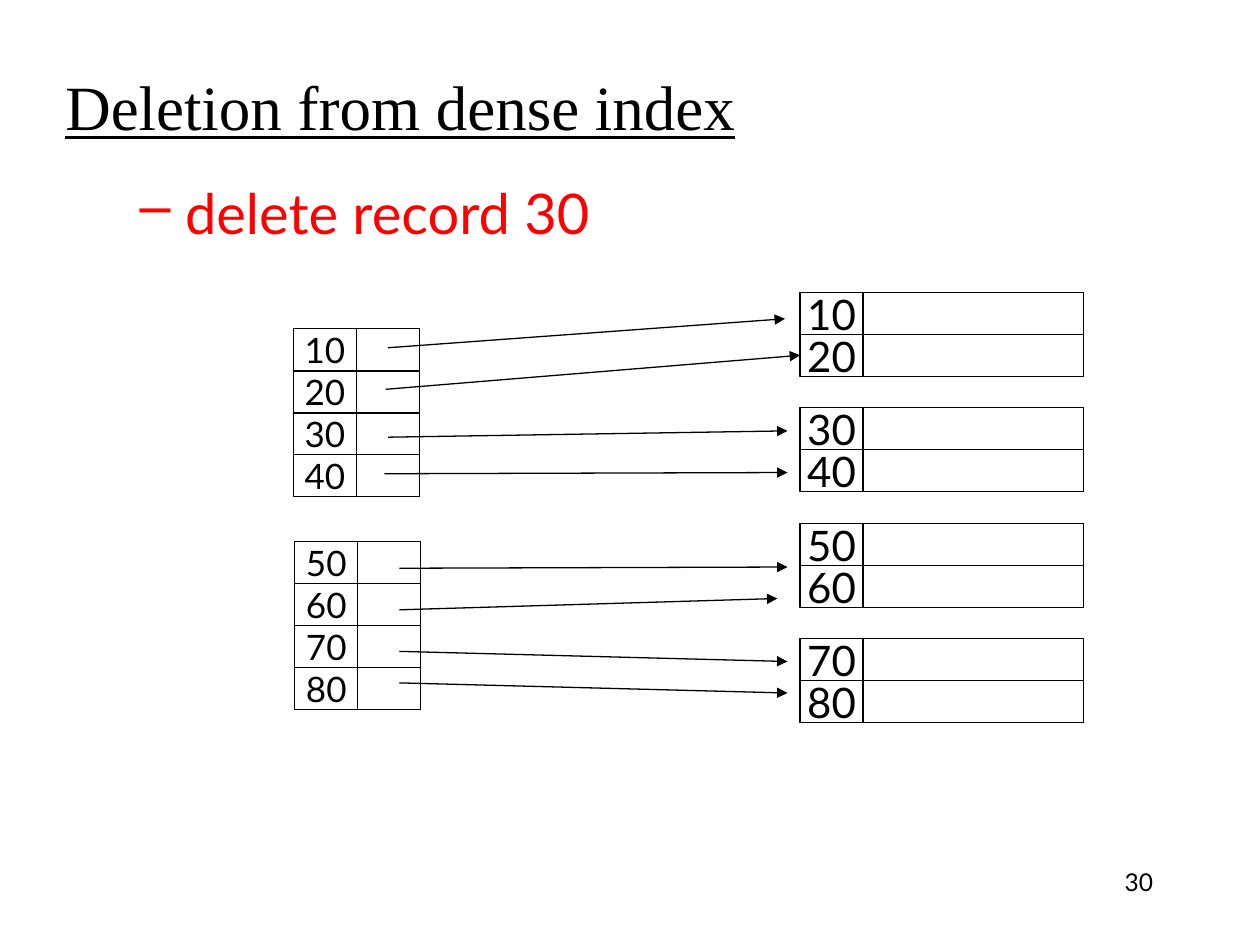
from dataclasses import dataclass

from lxml import etree
from pptx import Presentation
from pptx import util as u
from pptx.dml.color import RGBColor
from pptx.enum import shapes, text
from pptx.oxml import ns


@dataclass(frozen=True)
class Theme:
    ink: RGBColor = RGBColor(0, 0, 0)
    paper: RGBColor = RGBColor(255, 255, 255)
    accent: RGBColor = RGBColor(255, 0, 0)
    body_font: str = "Lato"
    title_font: str = "Times New Roman"
    title_size: int = 36
    bullet_size: int = 32
    record_size: int = 24
    index_size: int = 20
    number_size: int = 14
    line_width: float = 0.75


class IndexSlide:
    """Draws the parts of an index diagram on one slide in one theme."""

    def __init__(self, page, theme):
        self.page = page
        self.theme = theme

    def set_words(self, frame, words, size, color=None, font=None,
                  align=text.PP_ALIGN.LEFT):
        frame.text = words
        para = frame.paragraphs[0]
        para.alignment = align
        span = para.runs[0]
        span.font.size = u.Pt(size)
        span.font.name = font or self.theme.body_font
        span.font.color.rgb = color or self.theme.ink
        return para

    def label(self, words, left, top, width, height, size,
              anchor=text.MSO_ANCHOR.MIDDLE, **style):
        box = self.page.shapes.add_textbox(
            *map(u.Inches, (left, top, width, height)))
        frame = box.text_frame
        frame.word_wrap = True
        frame.vertical_anchor = anchor
        return self.set_words(frame, words, size, **style)

    def bullet(self, words, left, top, width, height):
        para = self.label(words, left, top, width, height,
                          self.theme.bullet_size, color=self.theme.accent)
        settings = para._p.get_or_add_pPr()
        settings.set("marL", str(u.Inches(0.82)))
        settings.set("indent", str(u.Inches(-0.36)))
        etree.SubElement(settings, ns.qn("a:buChar")).set("char", "–")

    def cell(self, left, top, width, height, words="", size=None):
        box = self.page.shapes.add_shape(
            shapes.MSO_SHAPE.RECTANGLE,
            *map(u.Inches, (left, top, width, height)))
        box.shadow.inherit = False
        box.fill.solid()
        box.fill.fore_color.rgb = self.theme.paper
        box.line.color.rgb = self.theme.ink
        box.line.width = u.Pt(self.theme.line_width)
        if words:
            box.text_frame.word_wrap = False
            box.text_frame.vertical_anchor = text.MSO_ANCHOR.MIDDLE
            self.set_words(box.text_frame, words, size,
                           align=text.PP_ALIGN.CENTER)
        return box

    def block(self, keys, left, top, value_width, size):
        key_width, row_height = 0.5, 1 / 3
        key_cells = {}
        for row, key in enumerate(keys):
            y = top + row * row_height
            key_cells[key] = self.cell(
                left, y, key_width, row_height, str(key), size)
            self.cell(left + key_width, y, value_width, row_height)
        return key_cells

    def arrow(self, start, end, target=None):
        arrow = self.page.shapes.add_connector(
            shapes.MSO_CONNECTOR.STRAIGHT, *map(u.Inches, start + end))
        if target is not None:
            arrow.end_connect(target, 1)
        arrow.line.color.rgb = self.theme.ink
        arrow.line.width = u.Pt(self.theme.line_width)
        line = arrow.line._get_or_add_ln()
        etree.SubElement(line, ns.qn("a:tailEnd")).set("type", "triangle")
        etree.SubElement(arrow._element.spPr, ns.qn("a:effectLst"))


def main():
    deck = Presentation()
    deck.slide_width, deck.slide_height = u.Inches(10), u.Inches(7.5)
    page = deck.slides.add_slide(deck.slide_layouts[6])
    theme = Theme()
    slide = IndexSlide(page, theme)

    title = slide.label("Deletion from dense index", 0.42, 0.42, 8.5, 0.83,
                        theme.title_size, font=theme.title_font)
    title.runs[0].font.underline = True
    slide.bullet("delete record 30", 0.55, 1.36, 4.45, 0.64)

    records = {}
    for number in range(4):
        keys = (20 * number + 10, 20 * number + 20)
        records.update(slide.block(keys, 6.35, 2.32 + number * 2.75 / 3,
                                   1.75, theme.record_size))

    index_blocks = [((10, 20, 30, 40), 2.33, 2.61),
                    ((50, 60, 70, 80), 2.34, 4.3)]
    for keys, left, top in index_blocks:
        slide.block(keys, left, top, 0.5, theme.index_size)

    pointers = [
        ((3.08, 2.76), (6.23, 2.53)),
        ((3.06, 3.09), (6.35, 2.82), records[20]),
        ((3.08, 3.47), (6.25, 3.42)),
        ((3.05, 3.76), (6.25, 3.75)),
        ((3.17, 4.51), (6.25, 4.5)),
        ((3.17, 4.84), (6.17, 4.75)),
        ((3.17, 5.17), (6.25, 5.25)),
        ((3.17, 5.42), (6.25, 5.5)),
    ]
    for pointer in pointers:
        slide.arrow(*pointer)

    slide.label("30", 7.17, 6.83, 2.08, 0.5, theme.number_size,
                anchor=text.MSO_ANCHOR.TOP, align=text.PP_ALIGN.RIGHT)
    deck.save("out.pptx")


if __name__ == "__main__":
    main()
